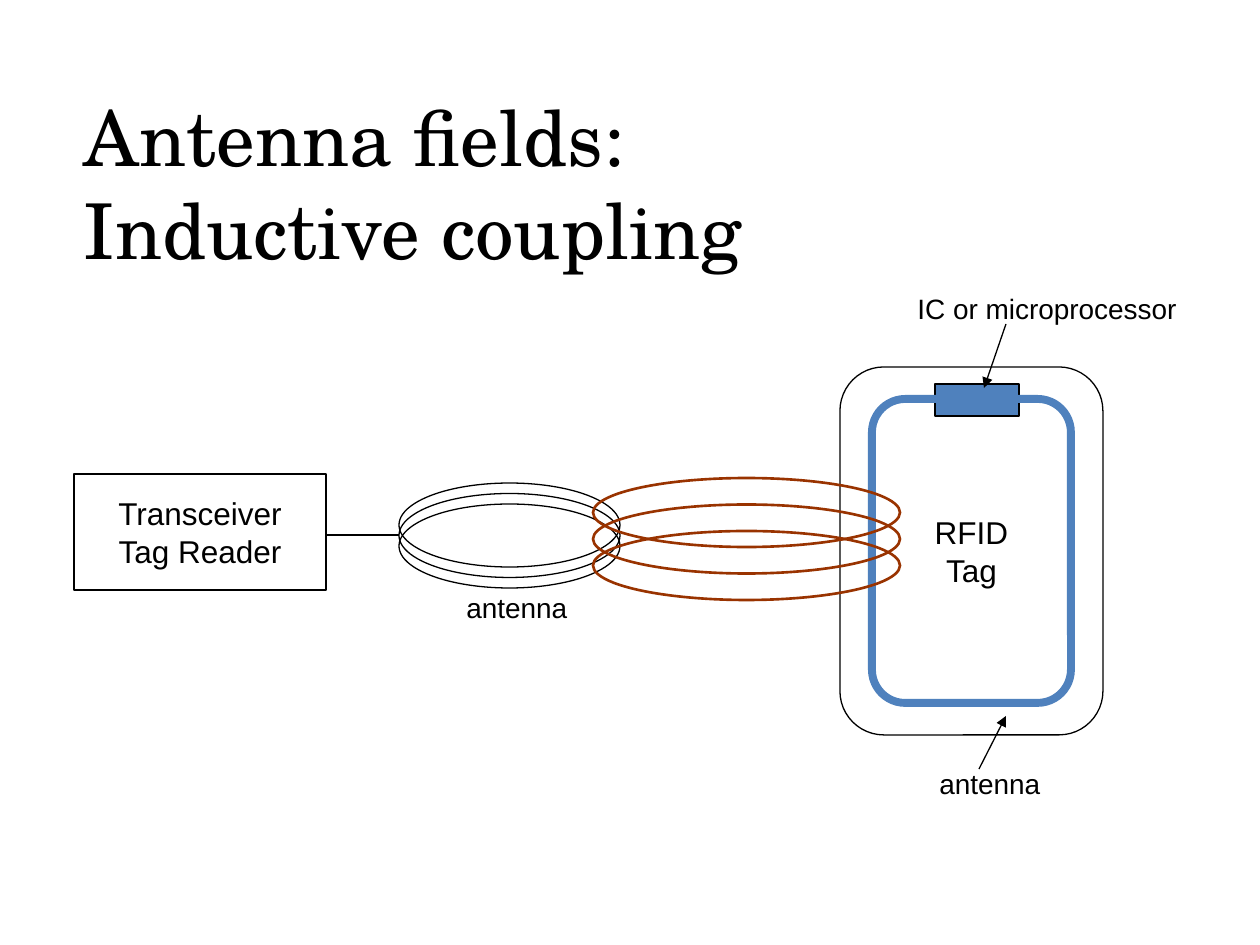
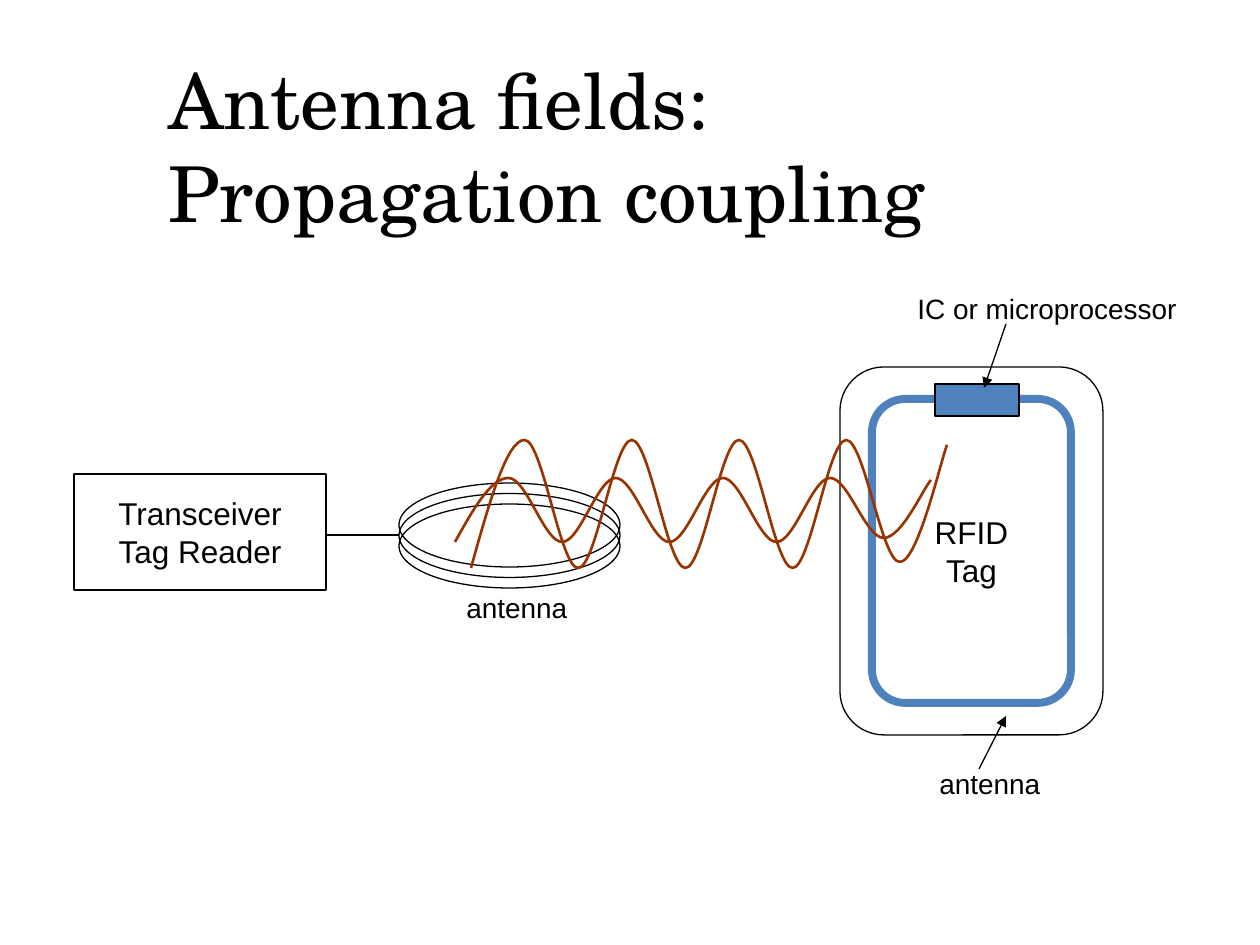
from lxml.etree import SubElement
from pptx import Presentation
from pptx.dml.color import RGBColor
from pptx.enum.shapes import MSO_CONNECTOR as LINE, MSO_SHAPE as SHAPE
from pptx.enum.text import MSO_ANCHOR as ANCHOR, MSO_AUTO_SIZE as AUTO, PP_ALIGN as ALIGN
from pptx.oxml.ns import qn
from pptx.util import Pt

EMU_PER_PX = 914400 / 126
COLORS = {"ink": "000000", "paper": "FFFFFF", "copper": "4F81BD", "field": "993300"}
BODY_FONT, TITLE_FONT = "Arial", "TeX Gyre Schola"

TITLE_ONLY = 5
READER_BOX = (74, 474, 252, 116)
TAG_BOX = (840, 367, 263, 368)
FIELD_BOX = (593, 478, 307, 122)
TALL_WAVE_BOX = (471, 440, 476, 128)
LOW_WAVE_BOX = (455, 478, 476, 64)


def px(*lengths):
    return [round(n * EMU_PER_PX) for n in lengths]


def rgb(name):
    return RGBColor.from_string(COLORS[name])


def add_run(p, text, size, font=BODY_FONT):
    r = p.add_run()
    r.text = text
    r.font.size, r.font.name = Pt(size), font
    r.font.color.rgb = rgb("ink")


def style(sp, line="ink", width=0.75, fill=None):
    sp.shadow.inherit = False
    if fill:
        sp.fill.solid()
        sp.fill.fore_color.rgb = rgb(fill)
    else:
        sp.fill.background()
    sp.line.color.rgb = rgb(line)
    sp.line.width = Pt(width)


def add_shape(s, kind, box, lines=(), **look):
    """Add a styled preset shape with centred lines of text."""
    sp = s.shapes.add_shape(kind, *px(*box))
    style(sp, **look)
    tf = sp.text_frame
    tf.vertical_anchor = ANCHOR.MIDDLE
    for i, text in enumerate(lines):
        p = tf.add_paragraph() if i else tf.paragraphs[0]
        p.alignment = ALIGN.CENTER
        add_run(p, text, 18)
    return sp


def add_label(s, x, y, w, text):
    tf = s.shapes.add_textbox(*px(x, y, w, 47)).text_frame
    tf.word_wrap = False
    add_run(tf.paragraphs[0], text, 16)


def add_line(s, start, end, arrow=False):
    cn = s.shapes.add_connector(LINE.STRAIGHT, *px(*start, *end))
    cn.line.color.rgb = rgb("ink")
    cn.line.width = Pt(0.75)
    if arrow:
        SubElement(cn.line._get_or_add_ln(), qn("a:tailEnd"), type="triangle")
    SubElement(cn._element.spPr, qn("a:effectLst"))


def add_loops(s, box, loop_h, **look):
    """Spread three ellipses evenly over the box, the lowest at the back."""
    x, y, w, h = box
    step = (h - loop_h) / 2
    for i in (2, 1, 0):
        add_shape(s, SHAPE.OVAL, (x, y + i * step, w, loop_h), **look)


def add_title(s, box, *lines):
    title = s.shapes.title
    title.left, title.top, title.width, title.height = px(*box)
    tf = title.text_frame
    tf.margin_left = tf.margin_top = tf.margin_right = tf.margin_bottom = 0
    tf.word_wrap, tf.auto_size = True, AUTO.NONE
    tf.vertical_anchor = ANCHOR.TOP
    p = tf.paragraphs[0]
    p.alignment = ALIGN.LEFT
    for i, text in enumerate(lines):
        if i:
            p.add_line_break()
        add_run(p, text, 44, TITLE_FONT)


def add_reader(s, box):
    """Draw the reader with its wire and looped antenna to the right."""
    x, y, w, h = box
    antenna_x, wire_y = x + w + 73, y + 61
    add_shape(s, SHAPE.RECTANGLE, box, ("Transceiver", "Tag Reader"), width=1.5)
    add_loops(s, (antenna_x, y + 9, 221, 105), 84)
    add_line(s, (x + w, wire_y), (antenna_x, wire_y))
    add_label(s, x + 380, y + 110, 126, "antenna")


def add_tag(s, box, fill=None, chip_in_front=False):
    x, y, w, h = box

    def add_chip():
        add_shape(s, SHAPE.RECTANGLE, (x + 95, y + 17, 84, 32), fill="copper")

    def add_coil():
        coil = add_shape(s, SHAPE.ROUNDED_RECTANGLE, (x + 32, y + 32, w - 64, h - 64),
                         line="copper", width=4.5)
        coil.adjustments[0] = 0.167

    card = add_shape(s, SHAPE.ROUNDED_RECTANGLE, box, ("RFID", "Tag"), fill=fill)
    card.adjustments[0] = 0.167
    for add_part in (add_coil, add_chip) if chip_in_front else (add_chip, add_coil):
        add_part()


def add_tag_labels(s, box):
    x, y, w, h = box
    add_label(s, x + 65, y - 82, 286, "IC or microprocessor")
    add_line(s, (x + 166, y - 43), (x + 144, y + 21), arrow=True)
    add_label(s, x + 87, y + h + 25, 126, "antenna")
    add_line(s, (x + 139, y + h + 34), (x + 166, y + h - 19), arrow=True)


def add_wave(s, box, last_trough, end_y, end_handle):
    """Draw a wave of four crests that fills the box and rises at its end."""
    x, y, w, h = box
    half, handle = 53.6, 18
    knots = [(i * half, 0 if i % 2 else h) for i in range(8)]
    knots += [(8 * half, last_trough), (w, end_y)]
    outgoing = [(i + handle, j) for i, j in knots[:-1]]
    outgoing[0] = (handle, h / 2)
    incoming = [(i - handle, j) for i, j in knots[1:]]
    incoming[-1] = (w - end_handle[0], end_y + end_handle[1])

    start, *rest = [tuple(px(x + i, y + j)) for i, j in knots]
    outline = s.shapes.build_freeform(*start)
    outline.add_line_segments(rest, close=False)
    sp = outline.convert_to_shape()
    style(sp, line="field", width=1.5)
    segments = list(sp._element.iter(qn("a:lnTo")))
    for segment, *controls in zip(segments, outgoing, incoming):
        segment.tag = qn("a:cubicBezTo")
        end = segment[0]
        for control in controls:
            cx, cy = px(*control)
            pt = SubElement(segment, qn("a:pt"), x=str(cx), y=str(cy))
            end.addprevious(pt)


def add_inductive_slide(prs):
    s = prs.slides.add_slide(prs.slide_layouts[TITLE_ONLY])
    add_title(s, (84, 90, 1102, 186), "Antenna fields: ", "Inductive coupling")
    add_reader(s, READER_BOX)
    add_tag(s, TAG_BOX, fill="paper")
    add_tag_labels(s, TAG_BOX)
    add_loops(s, FIELD_BOX, 69, line="field", width=1.5)


def add_propagation_slide(prs):
    s = prs.slides.add_slide(prs.slide_layouts[TITLE_ONLY])
    add_title(s, (168, 53, 892, 96), "Antenna fields: Propagation coupling")
    add_reader(s, READER_BOX)
    add_tag(s, TAG_BOX, chip_in_front=True)
    add_wave(s, TALL_WAVE_BOX, last_trough=122, end_y=5, end_handle=(7, 19))
    add_wave(s, LOW_WAVE_BOX, last_trough=60, end_y=2, end_handle=(8, 9))
    add_tag_labels(s, TAG_BOX)


def main():
    prs = Presentation()
    prs.slide_width, prs.slide_height = px(1260, 945)
    add_inductive_slide(prs)
    add_propagation_slide(prs)
    prs.save("out.pptx")


if __name__ == "__main__":
    main()
